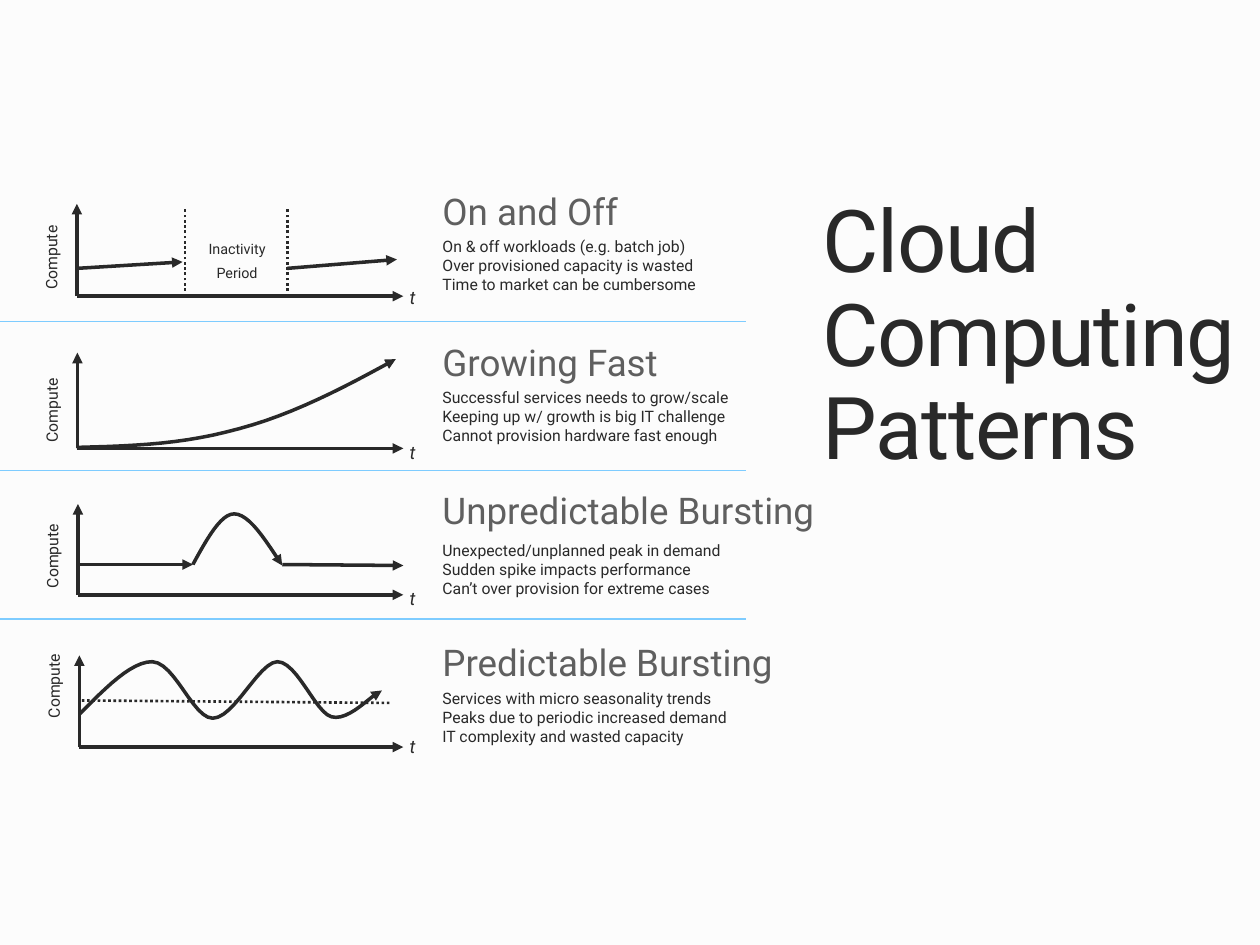
import pptx
import pptx.util
import pptx.dml.color
import pptx.enum.dml
import pptx.enum.shapes
import pptx.enum.text
import pptx.oxml.ns
import lxml.etree

Cm = pptx.util.Cm
Pt = pptx.util.Pt
qn = pptx.oxml.ns.qn
CENTER = pptx.enum.text.PP_ALIGN.CENTER

COLORS = {"back": "FCFCFC", "ink": "292929", "head": "5F5F5F", "rule": "7ECCFF"}
FONT = "Roboto"
STEPS = 12


def color(name):
    return pptx.dml.color.RGBColor.from_string(COLORS[name])


def add_text(slide, box, lines, size, tint="ink", pad=(0, 0), align=None,
             space=None, after=None, slant=False, track=None, turn=0):
    shape = slide.shapes.add_textbox(*[Cm(v) for v in box])
    shape.rotation = turn
    frame = shape.text_frame
    frame.word_wrap = True
    frame.margin_left = frame.margin_right = Cm(pad[0])
    frame.margin_top = frame.margin_bottom = Cm(pad[1])
    for i, line in enumerate(lines):
        para = frame.paragraphs[0] if i == 0 else frame.add_paragraph()
        para.alignment = align
        para.line_spacing = space
        para.space_after = after
        run = para.add_run()
        run.text = line
        run.font.name = FONT
        run.font.size = Pt(size)
        run.font.italic = slant or None
        run.font.color.rgb = color(tint)
        if track is not None:
            run.font._element.set("spc", str(track))


def style(shape, tint, width, arrow=False, dots=False):
    line = shape.line
    line.color.rgb = color(tint)
    line.width = Pt(width)
    if dots:
        line.dash_style = pptx.enum.dml.MSO_LINE.ROUND_DOT
    if arrow:
        tail = lxml.etree.SubElement(line._get_or_add_ln(), qn("a:tailEnd"))
        tail.set("type", "triangle")


def add_line(slide, ends, tint="ink", width=2, arrow=False, dots=False):
    kind = pptx.enum.shapes.MSO_CONNECTOR.STRAIGHT
    shape = slide.shapes.add_connector(kind, *[Cm(v) for v in ends])
    style(shape, tint, width, arrow, dots)
    lxml.etree.SubElement(shape._element.spPr, qn("a:effectLst"))


def bezier(a, b, c, d, t):
    s = 1 - t
    return [s**3 * p + 3 * s * s * t * q + 3 * s * t * t * r + t**3 * u
            for p, q, r, u in zip(a, b, c, d)]


def add_curve(slide, knots):
    dots = [bezier(*knots[i:i + 4], step / STEPS)
            for i in range(0, len(knots) - 1, 3)
            for step in range(1, STEPS + 1)]
    maker = slide.shapes.build_freeform(*[Cm(v) for v in knots[0]])
    maker.add_line_segments([(Cm(x), Cm(y)) for x, y in dots], close=False)
    shape = maker.convert_to_shape()
    shape.shadow.inherit = False
    shape.fill.background()
    style(shape, "ink", 2, arrow=True)


def add_axes(slide, left, top, base, label, mark):
    add_line(slide, (left, base, left, top), arrow=True)
    add_line(slide, (left, base, 8.13, base), arrow=True)
    wide, high = 2.13, 0.48
    add_text(slide, (left - 0.47 - wide / 2, label - high / 2, wide, high),
             ["Compute"], 9, pad=(0.2, 0.1), align=CENTER, space=Pt(8), turn=270)
    add_text(slide, (8.26, mark, 2.39, 0.28), ["t"], 10.5, slant=True)


def add_notes(slide, head, wide, title, body, lines):
    add_text(slide, (8.92, head, wide, 0.99), [title], 21, "head",
             pad=(0, 0.1), space=0.9)
    add_text(slide, (8.92, body, 7.52, 1.14), lines, 9)


def add_plots(slide):
    add_line(slide, (1.55, 5.41, 3.68, 5.28), arrow=True)
    add_line(slide, (5.79, 5.41, 8, 5.23), arrow=True)
    for x in (3.73, 5.79):
        add_line(slide, (x, 5.97, x, 4.19), width=1.5, dots=True)
    add_text(slide, (3.61, 4.8, 2.34, 0.97), ["Inactivity", "Period"], 8.2,
             pad=(0.2, 0.1), align=CENTER, space=Pt(8), after=Pt(6))

    add_curve(slide, [(1.55, 9.02), (2.82, 8.99), (3.76, 8.94), (4.83, 8.64),
                      (5.89, 8.36), (6.93, 7.82), (7.98, 7.24)])

    add_line(slide, (1.57, 11.38, 3.89, 11.38), arrow=True)
    add_line(slide, (5.69, 11.38, 8.13, 11.4), arrow=True)
    add_curve(slide, [(3.89, 11.38), (4.17, 10.87), (4.45, 10.36), (4.72, 10.36),
                      (5.03, 10.36), (5.36, 10.9), (5.69, 11.4)])

    add_curve(slide, [(1.6, 14.4), (2.13, 13.87), (2.64, 13.34), (3.07, 13.34),
                      (3.53, 13.36), (3.89, 14.48), (4.29, 14.48),
                      (4.72, 14.48), (5.21, 13.36), (5.59, 13.34),
                      (5.99, 13.34), (6.35, 14.35), (6.68, 14.45),
                      (7.04, 14.55), (7.49, 14), (7.7, 13.92)])
    add_line(slide, (1.65, 14.12, 7.85, 14.17), width=1.5, dots=True)


AXES = [
    (1.55, 4.11, 5.97, 5.19, 5.77),
    (1.56, 7.11, 9.04, 8.27, 8.89),
    (1.57, 10.16, 11.99, 11.21, 11.84),
    (1.6, 13.21, 15.06, 13.83, 14.83),
]
NOTES = [
    (3.81, 6.35, "On and Off", 4.78,
     ["On & off workloads (e.g. batch job)",
      "Over provisioned capacity is wasted",
      "Time to market can be cumbersome"]),
    (6.86, 6.5, "Growing Fast", 7.82,
     ["Successful services needs to grow/scale",
      "Keeping up w/ growth is big IT challenge",
      "Cannot provision hardware fast enough"]),
    (9.83, 7.98, "Unpredictable Bursting", 10.9,
     ["Unexpected/unplanned peak in demand",
      "Sudden spike impacts performance",
      "Can’t over provision for extreme cases"]),
    (12.9, 8.2, "Predictable Bursting", 13.89,
     ["Services with micro seasonality trends",
      "Peaks due to periodic increased demand",
      "IT complexity and wasted capacity"]),
]


def main():
    deck = pptx.Presentation()
    deck.slide_width, deck.slide_height = Cm(25.4), Cm(19.05)
    slide = deck.slides.add_slide(deck.slide_layouts[6])
    fill = slide.background.fill
    fill.solid()
    fill.fore_color.rgb = color("back")
    add_text(slide, (16.59, 3.99, 8.81, 5.72), ["Cloud Computing Patterns"],
             49.5, space=0.9, track=-80)
    for axes, notes in zip(AXES, NOTES):
        add_axes(slide, *axes)
        add_notes(slide, *notes)
    add_plots(slide)
    for i in range(3):
        y = 6.48 + 3 * i
        add_line(slide, (0, y, 15.04, y), "rule", 0.75)
    deck.save("out.pptx")


if __name__ == "__main__":
    main()
